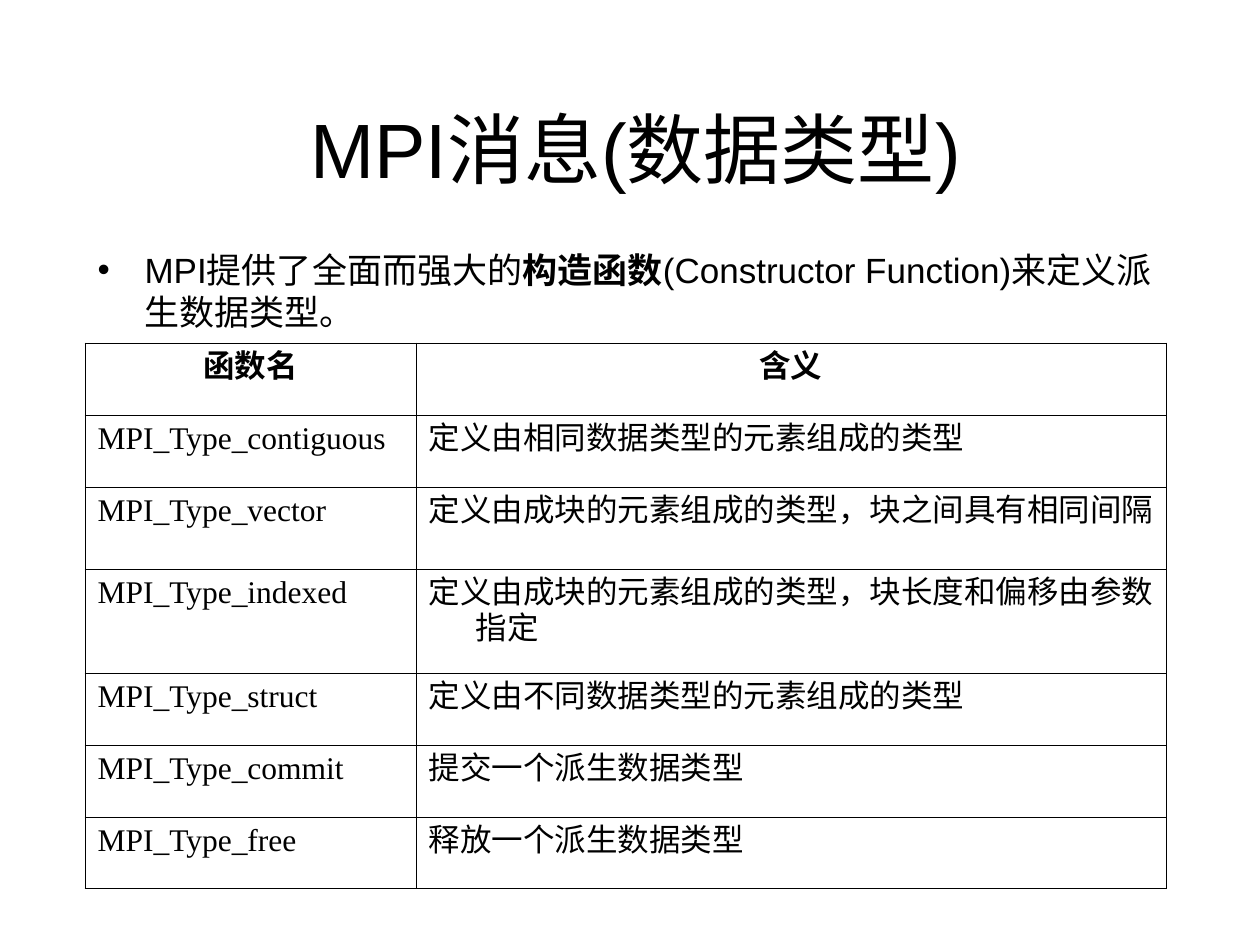
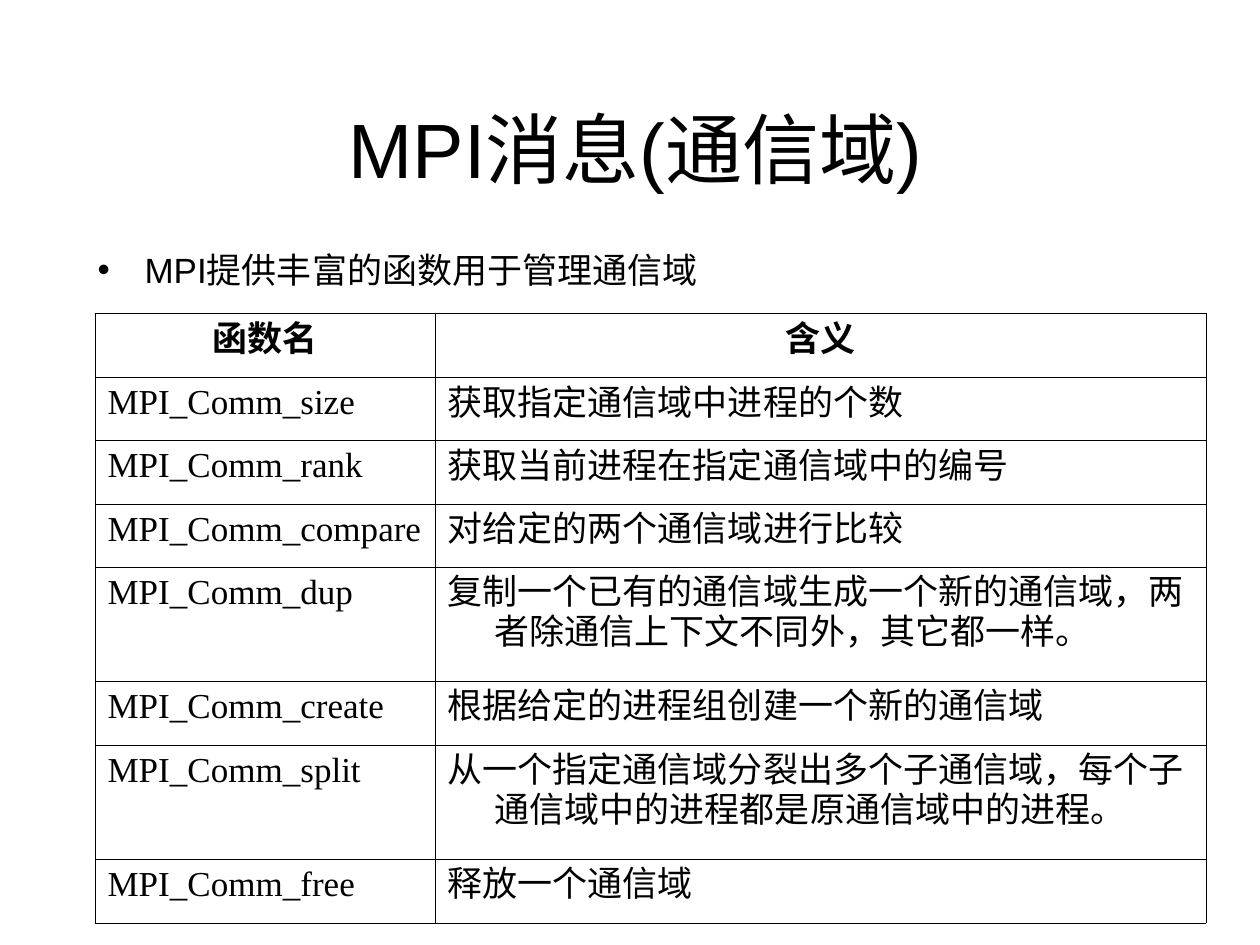
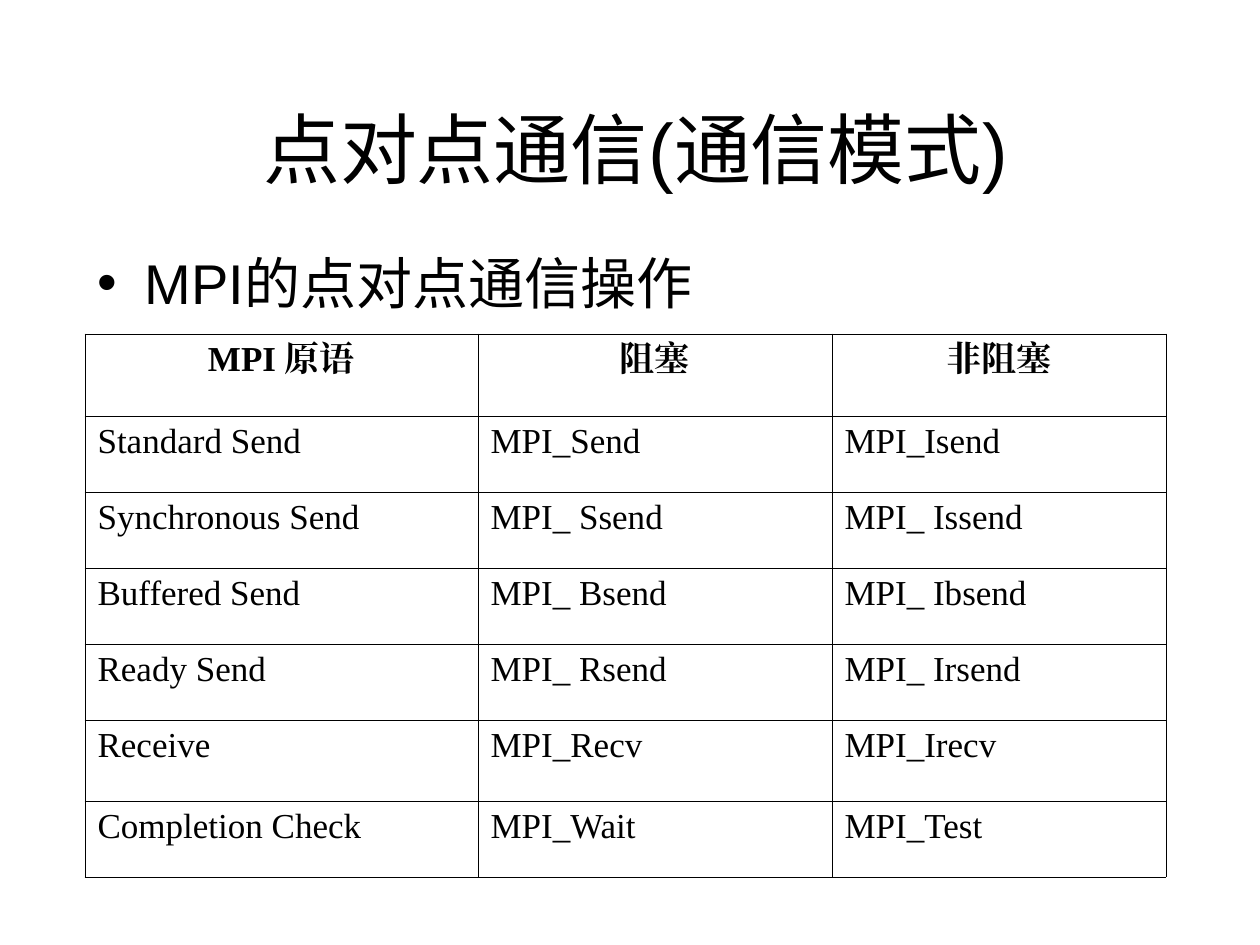
from lxml import etree
from pptx import Presentation
from pptx.dml.color import RGBColor
from pptx.enum.text import MSO_ANCHOR, MSO_AUTO_SIZE, PP_ALIGN
from pptx.oxml.ns import qn
from pptx.util import Emu, Pt

CENTER, LEFT = PP_ALIGN.CENTER, PP_ALIGN.LEFT
MIDDLE, TOP = MSO_ANCHOR.MIDDLE, MSO_ANCHOR.TOP
NO_AUTOFIT = MSO_AUTO_SIZE.NONE

# Shared look
COLORS = {"text": "000000", "border": "000000", "background": "FFFFFF"}
SANS, SERIF = "Arial", "Times New Roman"
EMU_PER_PX = 914400 / 126
SLIDE_SIZE = (1260, 945)
TITLE_BOX = (95, 95, 1081, 105)
BODY_LEFT, BODY_TOP, BODY_WIDTH = 85, 242, 1081
HANGING = 47
BORDER_WIDTH = Pt(0.45)
TITLE_SIZE = 44

# Content
SLIDES = [
    {
        "title": "MPI消息(数据类型)",
        "bullet": [("MPI提供了全面而强大的", False), ("构造函数", True),
                   ("(Constructor Function)来定义派生数据类型。", False)],
        "bullet_size": 20,
        "body_height": 132,
        "table_at": (85, 343),
        "columns": [331, 750],
        "row_heights": [72, 72, 82, 104, 72, 72, 72],
        "table_size": 18,
        "header_font": SANS,
        "column_fonts": [SERIF, SANS],
        "rows": [
            ("函数名", "含义"),
            ("MPI_Type_contiguous", "定义由相同数据类型的元素组成的类型"),
            ("MPI_Type_vector", "定义由成块的元素组成的类型，块之间具有相同间隔"),
            ("MPI_Type_indexed", "定义由成块的元素组成的类型，块长度和偏移由参数指定"),
            ("MPI_Type_struct", "定义由不同数据类型的元素组成的类型"),
            ("MPI_Type_commit", "提交一个派生数据类型"),
            ("MPI_Type_free", "释放一个派生数据类型"),
        ],
    },
    {
        "title": "MPI消息(通信域)",
        "bullet": [("MPI提供丰富的函数用于管理通信域", False)],
        "bullet_size": 20,
        "body_height": 305,
        "table_at": (95, 313),
        "columns": [340, 771],
        "row_heights": [64, 63, 64, 63, 114, 64, 114, 64],
        "table_size": 20,
        "header_font": SANS,
        "column_fonts": [SERIF, SANS],
        "rows": [
            ("函数名", "含义"),
            ("MPI_Comm_size", "获取指定通信域中进程的个数"),
            ("MPI_Comm_rank", "获取当前进程在指定通信域中的编号"),
            ("MPI_Comm_compare", "对给定的两个通信域进行比较"),
            ("MPI_Comm_dup", "复制一个已有的通信域生成一个新的通信域，两者除通信上下文不同外，其它都一样。"),
            ("MPI_Comm_create", "根据给定的进程组创建一个新的通信域"),
            ("MPI_Comm_split", "从一个指定通信域分裂出多个子通信域，每个子通信域中的进程都是原通信域中的进程。"),
            ("MPI_Comm_free", "释放一个通信域"),
        ],
    },
    {
        "title": "点对点通信(通信模式)",
        "bullet": [("MPI的点对点通信操作", False)],
        "bullet_size": 32,
        "body_height": 305,
        "table_at": (85, 334),
        "columns": [393, 354, 334],
        "row_heights": [82, 76, 76, 76, 76, 81, 76],
        "table_size": 20,
        "header_font": SERIF,
        "column_fonts": [SERIF, SERIF, SERIF],
        "rows": [
            ("MPI 原语", "阻塞", "非阻塞"),
            ("Standard Send", "MPI_Send", "MPI_Isend"),
            ("Synchronous Send", "MPI_ Ssend", "MPI_ Issend"),
            ("Buffered Send", "MPI_ Bsend", "MPI_ Ibsend"),
            ("Ready Send", "MPI_ Rsend", "MPI_ Irsend"),
            ("Receive", "MPI_Recv", "MPI_Irecv"),
            ("Completion Check", "MPI_Wait", "MPI_Test"),
        ],
    },
]


def px(length):
    return Emu(round(length * EMU_PER_PX))


def set_all(target, values):
    for name, value in values.items():
        setattr(target, name, value)


def place(shape, box):
    set_all(shape, dict(zip(("left", "top", "width", "height"), map(px, box))))


def add_run(paragraph, text, size, font=SANS, bold=False):
    run = paragraph.add_run()
    run.text = text
    set_all(run.font, {"size": Pt(size), "name": font, "bold": bold})
    run.font.color.rgb = RGBColor.from_string(COLORS["text"])
    return run


def set_hanging(paragraph):
    properties = paragraph._p.get_or_add_pPr()
    properties.set("marL", str(px(HANGING)))
    properties.set("indent", str(-px(HANGING)))
    return properties


def fill_title(shape, text):
    place(shape, TITLE_BOX)
    set_all(shape.text_frame, {"auto_size": NO_AUTOFIT, "word_wrap": True,
                               "vertical_anchor": MIDDLE})
    paragraph = shape.text_frame.paragraphs[0]
    paragraph.alignment = CENTER
    add_run(paragraph, text, TITLE_SIZE)


def fill_bullet(shape, content):
    place(shape, (BODY_LEFT, BODY_TOP, BODY_WIDTH, content["body_height"]))
    set_all(shape.text_frame, {"auto_size": NO_AUTOFIT, "word_wrap": True,
                               "vertical_anchor": TOP})
    paragraph = shape.text_frame.paragraphs[0]
    properties = set_hanging(paragraph)
    color = etree.SubElement(properties, qn("a:buClr"))
    etree.SubElement(color, qn("a:srgbClr"), val=COLORS["text"])
    etree.SubElement(properties, qn("a:buChar"), char="•")
    set_all(paragraph, {"alignment": LEFT, "space_before": Pt(0)})
    for text, bold in content["bullet"]:
        add_run(paragraph, text, content["bullet_size"], bold=bold)


def add_borders(cell):
    properties = cell._tc.get_or_add_tcPr()
    for position, side in enumerate(("lnL", "lnR", "lnT", "lnB")):
        line = etree.Element(qn(f"a:{side}"), w=str(BORDER_WIDTH))
        fill = etree.SubElement(line, qn("a:solidFill"))
        etree.SubElement(fill, qn("a:srgbClr"), val=COLORS["border"])
        properties.insert(position, line)


def fill_cell(cell, text, size, font, is_header):
    cell.fill.background()
    add_borders(cell)
    paragraph = cell.text_frame.paragraphs[0]
    set_hanging(paragraph)
    paragraph.alignment = CENTER if is_header else LEFT
    run = add_run(paragraph, text, size, font, is_header)
    etree.SubElement(run.font._element, qn("a:ea"), typeface=font)


def add_function_table(slide, content):
    rows, columns, heights = (content[key] for key in ("rows", "columns", "row_heights"))
    box = (*content["table_at"], sum(columns), sum(heights))
    table = slide.shapes.add_table(len(rows), len(columns), *map(px, box)).table
    set_all(table, {"first_row": False, "horz_banding": False})
    for column, width in zip(table.columns, columns):
        column.width = px(width)
    for row_index, (texts, height) in enumerate(zip(rows, heights)):
        table.rows[row_index].height = px(height)
        is_header = row_index == 0
        for column_index, text in enumerate(texts):
            font = content["header_font"] if is_header else content["column_fonts"][column_index]
            fill_cell(table.cell(row_index, column_index), text,
                      content["table_size"], font, is_header)


def main():
    presentation = Presentation()
    presentation.slide_width, presentation.slide_height = map(px, SLIDE_SIZE)
    background = presentation.slide_master.background.fill
    background.solid()
    background.fore_color.rgb = RGBColor.from_string(COLORS["background"])
    layout = presentation.slide_layouts.get_by_name("Title and Content")
    for content in SLIDES:
        slide = presentation.slides.add_slide(layout)
        fill_title(slide.shapes.title, content["title"])
        fill_bullet(slide.placeholders[1], content)
        add_function_table(slide, content)
    presentation.save("out.pptx")


if __name__ == "__main__":
    main()
